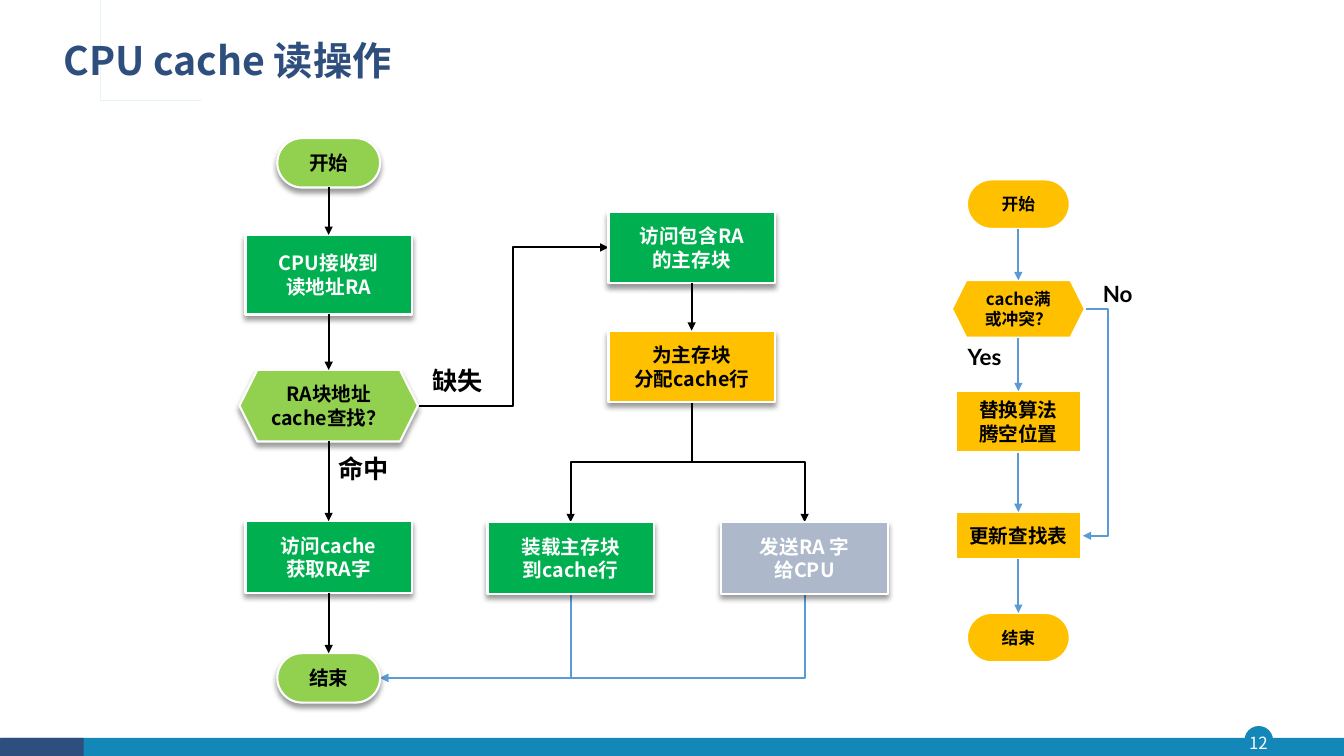
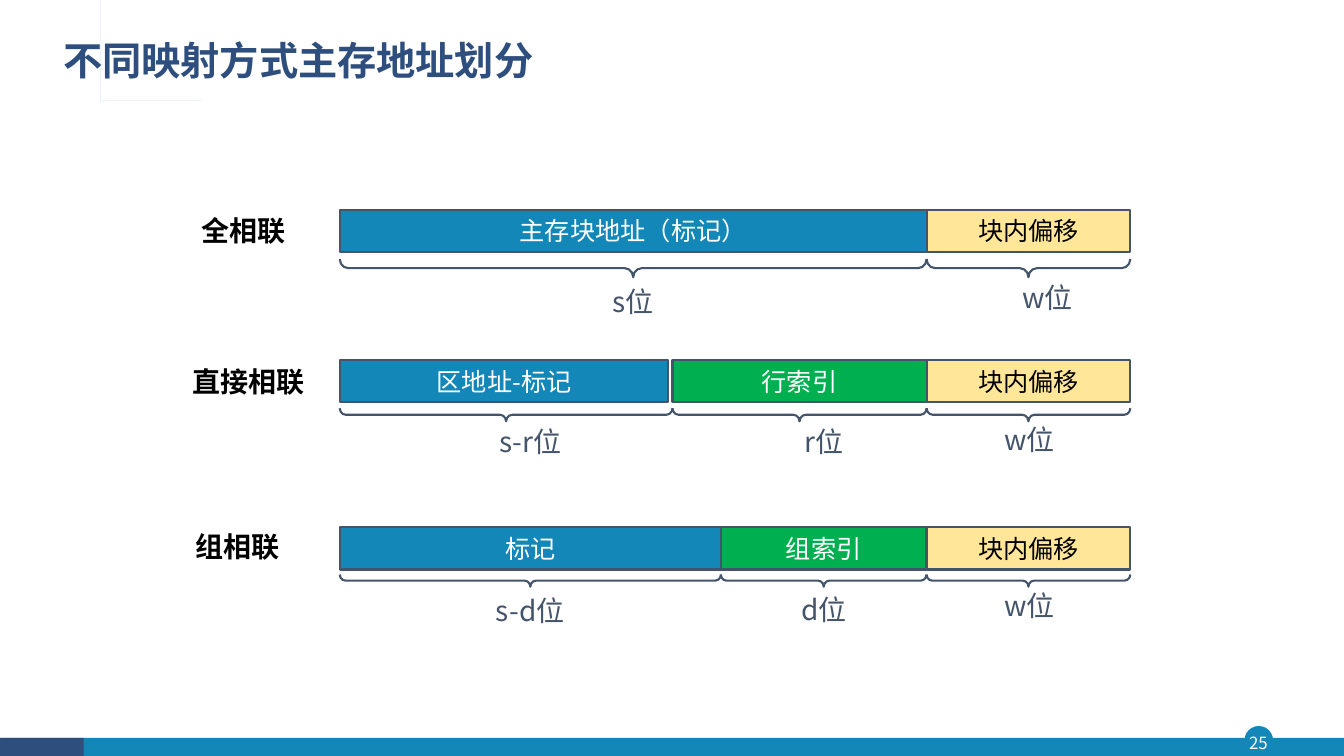
from dataclasses import dataclass

from lxml import etree
from pptx import Presentation, slide as sl, util as u
from pptx.dml.color import RGBColor
from pptx.enum import lang, shapes, text
from pptx.oxml import ns

SHAPE = shapes.MSO_SHAPE
LINE = shapes.MSO_CONNECTOR
ALIGN = text.PP_ALIGN
ANCHOR = text.MSO_ANCHOR
TOP, LEFT, BOTTOM, RIGHT = range(4)


@dataclass(frozen=True)
class Theme:
    font: str = "Noto Sans CJK SC"
    latin: str = "Lato"
    navy: str = "2E4E7E"
    blue: str = "1387B7"
    cyan: str = "28A9D6"
    arrow: str = "5B9BD5"
    slate: str = "44546A"
    green: str = "00B050"
    lime: str = "92D050"
    amber: str = "FFC000"
    cream: str = "FFE699"
    grey: str = "ADB9CA"
    white: str = "FFFFFF"
    black: str = "000000"
    title: int = 28
    bits: int = 20
    field: int = 18
    answer: int = 16
    step: int = 14
    small: int = 12
    stroke: float = 1.5


T = Theme()


@dataclass(frozen=True)
class Node:
    text: str
    cx: float
    top: float
    w: float
    h: float
    fill: str
    color: str = T.black
    kind: SHAPE = SHAPE.RECTANGLE
    size: int = T.step
    shadow: bool = True

    def side(self, n: int) -> tuple[float, float]:
        dx, dy = ((0, 0), (-0.5, 0.5), (0, 1), (0.5, 0.5))[n]
        return self.cx + dx * self.w, self.top + dy * self.h


@dataclass(frozen=True)
class Link:
    start: str
    end: str
    color: str = T.black
    sides: tuple[int, int] = (BOTTOM, TOP)


@dataclass(frozen=True)
class Label:
    text: str
    x: float
    y: float
    w: float
    h: float
    size: int
    font: str = T.font


@dataclass(frozen=True)
class Field:
    text: str
    x: float
    fill: str
    bits: str
    bits_cx: float
    bits_top: float
    color: str = T.white
    gap: float = 0


@dataclass(frozen=True)
class AddressRow:
    label: Label
    top: float
    brace_top: float
    depth: float
    fields: tuple[Field, ...]


def rgb(color: str) -> RGBColor:
    return RGBColor.from_string(color)


def write(s, content: str, size: int, color: str, bold: bool = False, font: str = T.font,
          align: ALIGN = ALIGN.CENTER, anchor: ANCHOR = ANCHOR.MIDDLE,
          inset: float | None = None, spacing: float = 1.0) -> None:
    tf = s.text_frame
    frame = dict(word_wrap=True, vertical_anchor=anchor)
    if inset is not None:
        frame |= {f"margin_{m}": u.Inches(inset) for m in ("left", "top", "right", "bottom")}
    for key, value in frame.items():
        setattr(tf, key, value)
    for i, line in enumerate(content.split("\n")):
        p = tf.add_paragraph() if i else tf.paragraphs[0]
        p.alignment, p.line_spacing = align, spacing
        r = p.add_run()
        r.text = line
        r.font.color.rgb = rgb(color)
        style = dict(size=u.Pt(size), bold=bold, name=font,
                     language_id=lang.MSO_LANGUAGE_ID.SIMPLIFIED_CHINESE)
        for key, value in style.items():
            setattr(r.font, key, value)
        latin = r.font._element.find(ns.qn("a:latin"))
        latin.addnext(latin.makeelement(ns.qn("a:ea"), {"typeface": T.font}))


def paint(s, fill: str | None, line: str | None = None, width: float = T.stroke) -> None:
    s.shadow.inherit = False
    if fill:
        s.fill.solid()
        s.fill.fore_color.rgb = rgb(fill)
    else:
        s.fill.background()
    if line:
        s.line.color.rgb = rgb(line)
        s.line.width = u.Pt(width)
    else:
        s.line.fill.background()


def add_shape(slide: sl.Slide, kind: SHAPE, x: float, y: float, w: float, h: float,
              fill: str | None, line: str | None = None, width: float = T.stroke):
    s = slide.shapes.add_shape(kind, u.Inches(x), u.Inches(y), u.Inches(w), u.Inches(h))
    paint(s, fill, line, width)
    return s


def add_text(slide: sl.Slide, content: str, x: float, y: float, w: float, h: float,
             size: int, color: str, **style) -> None:
    s = slide.shapes.add_textbox(u.Inches(x), u.Inches(y), u.Inches(w), u.Inches(h))
    write(s, content, size, color, **style)


def add_label(slide: sl.Slide, label: Label) -> None:
    add_text(slide, label.text, label.x, label.y, label.w, label.h, label.size, T.black,
             bold=True, font=label.font, align=ALIGN.LEFT, anchor=ANCHOR.TOP)


def add_shadow(s) -> None:
    effects = s._element.spPr.find(ns.qn("a:effectLst"))
    outer = etree.SubElement(effects, ns.qn("a:outerShdw"), blurRad=str(u.Pt(4)),
                             dist=str(u.Pt(3)), dir="5400000", algn="t", rotWithShape="0")
    color = etree.SubElement(outer, ns.qn("a:srgbClr"), val=T.black)
    etree.SubElement(color, ns.qn("a:alpha"), val="40000")


def add_node(slide: sl.Slide, node: Node):
    s = add_shape(slide, node.kind, node.cx - node.w / 2, node.top, node.w, node.h,
                  node.fill, T.white)
    if node.kind == SHAPE.ROUNDED_RECTANGLE:
        s.adjustments[0] = 0.5
    if node.shadow:
        add_shadow(s)
    write(s, node.text, node.size, node.color, bold=True)
    return s


def add_arrow(slide: sl.Slide, kind: LINE, x1: float, y1: float, x2: float, y2: float,
              color: str):
    c = slide.shapes.add_connector(kind, *map(u.Inches, (x1, y1, x2, y2)))
    c.line.color.rgb = rgb(color)
    c.line.width = u.Pt(T.stroke)
    sp = c._element.spPr
    etree.SubElement(sp.find(ns.qn("a:ln")), ns.qn("a:tailEnd"), type="triangle")
    etree.SubElement(sp, ns.qn("a:effectLst"))
    return c


def add_straight(slide: sl.Slide, link: Link, nodes: dict[str, Node], drawn: dict) -> None:
    ends = (link.start, link.end)
    points = [nodes[key].side(n) for key, n in zip(ends, link.sides)]
    c = add_arrow(slide, LINE.STRAIGHT, *points[0], *points[1], link.color)
    for key, n, join in zip(ends, link.sides, (c.begin_connect, c.end_connect)):
        if nodes[key].kind != SHAPE.HEXAGON:
            join(drawn[key], n)


def add_elbow(slide: sl.Slide, link: Link, nodes: dict[str, Node], reach: float = 0) -> None:
    x1, y1 = nodes[link.start].side(link.sides[0])
    x2, y2 = nodes[link.end].side(link.sides[1])
    if link.sides[0] != BOTTOM:
        x2 += 0.02 if reach else 0
        c = add_arrow(slide, LINE.ELBOW, x1, y1, x2, y2, link.color)
        if reach:
            guides = c._element.spPr.find(ns.qn("a:prstGeom")).find(ns.qn("a:avLst"))
            etree.SubElement(guides, ns.qn("a:gd"), name="adj1",
                             fmla=f"val {round(reach / (x2 - x1) * 100000)}")
        return
    cx, cy = (x1 + x2) / 2, (y1 + y2) / 2
    w, h = abs(y2 - y1) / 2, abs(x2 - x1) / 2
    c = add_arrow(slide, LINE.ELBOW, cx - w, cy - h, cx + w, cy + h, link.color)
    turn = {"rot": "5400000"} if x2 < x1 else {"rot": "16200000", "flipH": "1"}
    for key, value in turn.items():
        c._element.spPr.find(ns.qn("a:xfrm")).set(key, value)
    if link.sides[1] != TOP:
        c._element.spPr.find(ns.qn("a:prstGeom")).set("prst", "bentConnector2")


def add_slide(prs, title: str, number: int) -> sl.Slide:
    slide = prs.slides.add_slide(prs.slide_layouts[6])
    add_shape(slide, SHAPE.OVAL, 12.35, 7.21, 0.27, 0.27, T.blue, T.blue, 1)
    add_shape(slide, SHAPE.RECTANGLE, 0.01, 7.32, 13.32, 0.19, T.blue)
    add_shape(slide, SHAPE.RECTANGLE, 0, 7.32, 0.83, 0.19, T.navy)
    add_text(slide, str(number), 12.32, 7.21, 0.32, 0.31, T.small, T.white, inset=0)
    outline = slide.shapes.build_freeform(0.54, 0.39, scale=u.Inches(1))
    outline.add_line_segments((
        (0.54, 0.85), (1.87, 0.85), (1.87, 0.87), (0.52, 0.87), (0.52, 0.41),
        (0.47, 0.41), (0.47, 0.87), (0.36, 0.87), (0.36, 0.39), (0.39, 0.39),
        (0.39, 0.84), (0.44, 0.84), (0.44, 0.39)), close=True)
    paint(outline.convert_to_shape(), T.cyan)
    add_text(slide, title, 0.53, 0.28, 11.5, 0.68, T.title, T.navy, bold=True,
             align=ALIGN.LEFT, spacing=0.9)
    return slide


def read_slide(prs) -> None:
    slide = add_slide(prs, "CPU cache 读操作", 12)
    pill = dict(w=1.02, h=0.49, kind=SHAPE.ROUNDED_RECTANGLE)
    box = dict(w=1.65, h=0.71)
    side = dict(fill=T.amber, shadow=False)
    hexagon = SHAPE.HEXAGON
    nodes = {
        "start": Node("开始", 3.26, 1.37, fill=T.lime, **pill),
        "receive": Node("CPU接收到\n读地址RA", 3.26, 2.33, 1.65, 0.79, T.green, T.white),
        "lookup": Node("RA块地址\ncache查找？", 3.26, 3.67, 1.77, 0.71, T.lime, kind=hexagon),
        "hit": Node("访问cache\n获取RA字", 3.26, 5.17, fill=T.green, color=T.white, **box),
        "end": Node("结束", 3.26, 6.48, fill=T.lime, **pill),
        "fetch": Node("访问包含RA\n的主存块", 6.86, 2.1, fill=T.green, color=T.white, **box),
        "allocate": Node("为主存块\n分配cache行", 6.86, 3.28, fill=T.amber, **box),
        "load": Node("装载主存块\n到cache行", 5.66, 5.18, fill=T.green, color=T.white, **box),
        "send": Node("发送RA 字\n给CPU", 7.98, 5.18, fill=T.grey, color=T.white, **box),
        "begin": Node("开始", 10.1, 1.78, size=T.small, **pill, **side),
        "full": Node("cache满\n或冲突？", 10.1, 2.78, 1.32, 0.57, kind=hexagon,
                     size=T.small, **side),
        "replace": Node("替换算法\n腾空位置", 10.1, 3.88, 1.24, 0.61, **side),
        "update": Node("更新查找表", 10.1, 5.08, 1.24, 0.47, **side),
        "done": Node("结束", 10.1, 6.08, size=T.small, **pill, **side),
    }
    elbows = (
        Link("load", "end", T.arrow, (BOTTOM, RIGHT)),
        Link("send", "end", T.arrow, (BOTTOM, RIGHT)),
        Link("allocate", "load"),
        Link("allocate", "send"),
        Link("lookup", "fetch", sides=(RIGHT, LEFT)),
    )
    for link in elbows:
        add_elbow(slide, link, nodes)
    add_elbow(slide, Link("full", "update", T.arrow, (RIGHT, RIGHT)), nodes, reach=0.23)
    drawn = {key: add_node(slide, node) for key, node in nodes.items()}
    chains = (
        (T.black, ("start", "receive", "lookup", "hit", "end")),
        (T.black, ("fetch", "allocate")),
        (T.arrow, ("begin", "full", "replace", "update", "done")),
    )
    for color, chain in chains:
        for start, end in zip(chain, chain[1:]):
            add_straight(slide, Link(start, end, color), nodes, drawn)
    for label in (
        Label("命中", 3.26, 4.45, 0.73, 0.4, T.field),
        Label("缺失", 4.19, 3.58, 0.77, 0.4, T.field),
        Label("No", 10.84, 2.73, 0.63, 0.37, T.answer, T.latin),
        Label("Yes", 9.5, 3.36, 0.63, 0.37, T.answer, T.latin),
    ):
        add_label(slide, label)


def add_row(slide: sl.Slide, row: AddressRow, right: float = 11.21) -> None:
    add_label(slide, row.label)
    stops = [f.x for f in row.fields[1:]] + [right]
    for f, stop in zip(row.fields, stops):
        span = stop - f.x
        s = add_shape(slide, SHAPE.RECTANGLE, f.x, row.top, span - f.gap, 0.42, f.fill, T.slate)
        write(s, f.text, T.field, f.color)
        brace = add_shape(slide, SHAPE.LEFT_BRACE, f.x + (span - row.depth) / 2,
                          row.brace_top + (row.depth - span) / 2, row.depth, span,
                          None, T.slate)
        brace.rotation = 270
        brace.adjustments[0] = 0.47
        add_text(slide, f.bits, f.bits_cx - 0.55, f.bits_top, 1.1, 0.25, T.bits, T.slate,
                 inset=0)


def address_slide(prs) -> None:
    slide = add_slide(prs, "不同映射方式主存地址划分", 25)
    offset = dict(text="块内偏移", x=9.19, fill=T.cream, bits="w位", color=T.black)
    rows = (
        AddressRow(Label("全相联", 1.9, 2.07, 1.29, 0.44, T.bits), 2.08, 2.57, 0.18, (
            Field("主存块地址（标记）", 3.37, T.blue, "s位", 6.28, 2.86),
            Field(bits_cx=10.39, bits_top=2.82, **offset))),
        AddressRow(Label("直接相联", 1.81, 3.57, 1.42, 0.44, T.bits), 3.57, 4.05, 0.13, (
            Field("区地址-标记", 3.37, T.blue, "s-r位", 5.26, 4.25, gap=0.04),
            Field("行索引", 6.67, T.green, "r位", 8.17, 4.25),
            Field(bits_cx=10.21, bits_top=4.23, **offset))),
        AddressRow(Label("组相联", 1.84, 5.2, 1.42, 0.44, T.bits), 5.23, 5.7, 0.12, (
            Field("标记", 3.37, T.blue, "s-d位", 5.26, 5.93),
            Field("组索引", 7.15, T.green, "d位", 8.17, 5.92),
            Field(bits_cx=10.21, bits_top=5.88, **offset))),
    )
    for row in rows:
        add_row(slide, row)


def main() -> None:
    prs = Presentation()
    prs.slide_width, prs.slide_height = u.Inches(13.33), u.Inches(7.5)
    read_slide(prs)
    address_slide(prs)
    prs.save("out.pptx")


if __name__ == "__main__":
    main()
